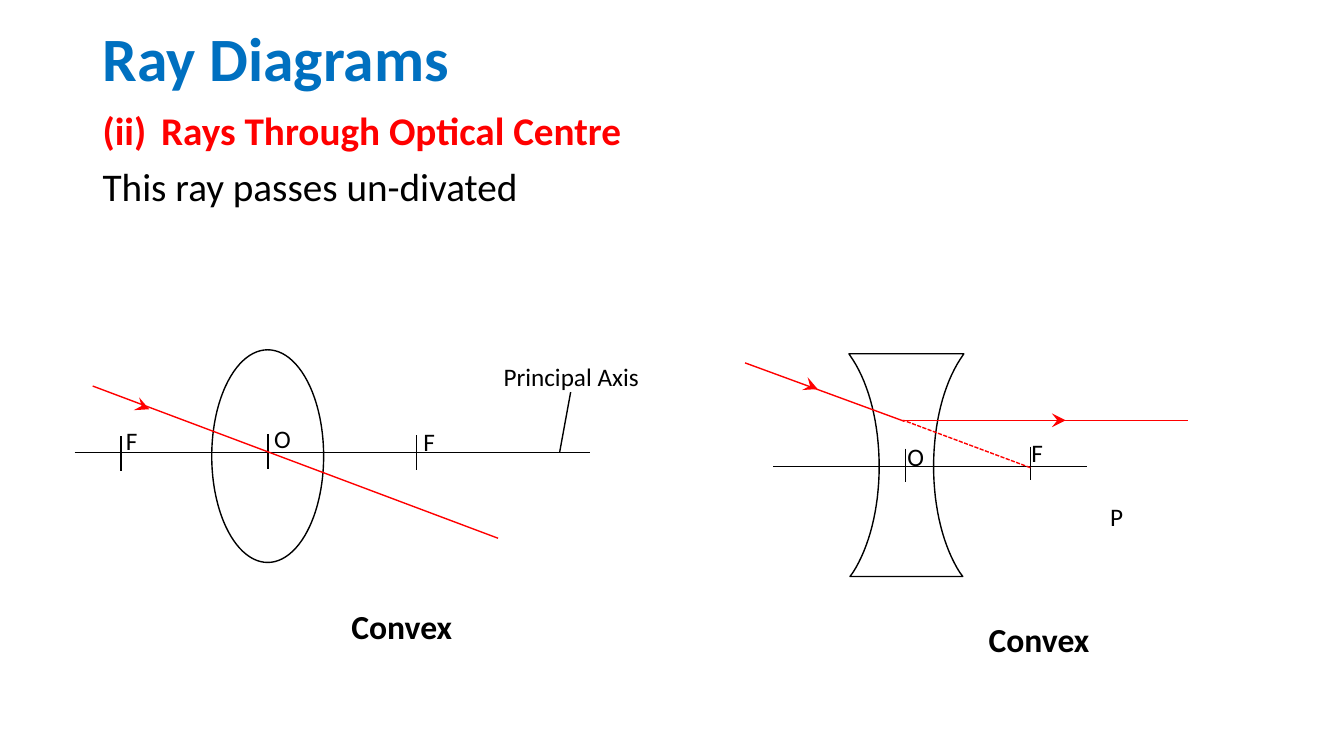
"""Build a slide of ray diagrams through the optical centre of two lenses."""
import pptx
import pptx.dml.color
import pptx.enum.dml
import pptx.enum.shapes
import pptx.enum.text
import pptx.oxml
import pptx.oxml.ns
import pptx.util
from pptx.util import Inches

HUES = {"title": "0070C0", "ray": "FF0000", "ink": "000000", "paper": "FFFFFF"}
ALIGN = pptx.enum.text.PP_ALIGN
ANCHOR = pptx.enum.text.MSO_ANCHOR
INSETS = ("margin_left", "margin_top", "margin_right", "margin_bottom")


def hue(name):
    """Return the named colour."""
    return pptx.dml.color.RGBColor.from_string(HUES[name])


def apply(item, values):
    """Set each attribute of an item from a dict."""
    for key, value in values.items():
        setattr(item, key, value)


def append(parent, tag, **attrs):
    """Add a drawing element to a parent and return it."""
    child = pptx.oxml.parse_xml(f"<a:{tag} {pptx.oxml.ns.nsdecls('a')}/>")
    for key, value in attrs.items():
        child.set(key, str(value))
    parent.append(child)
    return child


def write(para, text, size, color="ink", bold=False):
    """Add a run of text to a paragraph."""
    run = para.add_run()
    run.text = text
    apply(run.font, {"name": "Calibri", "size": pptx.util.Pt(size), "bold": bold})
    run.font.color.rgb = hue(color)


def frame(slide, box, **values):
    """Add a wrapped text box and return it."""
    shape = slide.shapes.add_textbox(*map(Inches, box))
    apply(shape.text_frame, {"word_wrap": True, **values})
    return shape


def label(slide, box, text, size=18, bold=False, align=ALIGN.LEFT, fill=None):
    """Add a label without insets."""
    shape = frame(slide, box, **dict.fromkeys(INSETS, 0))
    if fill:
        shape.fill.solid()
        shape.fill.fore_color.rgb = hue(fill)
    para = shape.text_frame.paragraphs[0]
    para.alignment = align
    write(para, text, size, bold=bold)


def line(slide, x1, y1, x2, y2, color="ink", width=1, dash=None, arrow=False):
    """Draw a straight line, with an arrowhead if asked."""
    kind = pptx.enum.shapes.MSO_CONNECTOR.STRAIGHT
    link = slide.shapes.add_connector(kind, *map(Inches, (x1, y1, x2, y2)))
    apply(link.line, {"width": pptx.util.Pt(width), "dash_style": dash})
    link.line.color.rgb = hue(color)
    if arrow:
        append(link.line._get_or_add_ln(), "tailEnd", type="stealth", w="lg", len="lg")
    append(link._element.spPr, "effectLst")


def outline(shape):
    """Give a lens a thin edge and no fill."""
    shape.shadow.inherit = False
    shape.fill.background()
    shape.line.color.rgb = hue("ink")
    shape.line.width = pptx.util.Pt(1)


def curve(a, b, c, d, steps=16):
    """Return points along a cubic curve."""
    spots = []
    for step in range(steps + 1):
        t = step / steps
        parts = ((1 - t) ** 3, 3 * t * (1 - t) ** 2, 3 * t * t * (1 - t), t ** 3)
        spots.append(tuple(sum(w * p[i] for w, p in zip(parts, (a, b, c, d)))
                           for i in (0, 1)))
    return spots


def hollow(slide, mid=8.99):
    """Draw the lens with two inward curves, mirrored about its middle."""
    side = [(0.57, 3.51)]
    side += curve((0.53, 3.57), (0.37, 3.82), (0.27, 4.2), (0.27, 4.63))
    side += curve((0.27, 4.63), (0.27, 5.05), (0.37, 5.43), (0.53, 5.68))[1:]
    side += [(0.56, 5.72)]
    spots = [(mid + x, y) for x, y in side] + [(mid - x, y) for x, y in side[::-1]]
    spots = [(Inches(x), Inches(y)) for x, y in spots]
    pen = slide.shapes.build_freeform(*spots[0])
    pen.add_line_segments(spots[1:], close=True)
    outline(pen.convert_to_shape())


def header(slide):
    """Write the title and the two lines below it."""
    title = frame(slide, (0.92, 0.16, 11.5, 0.9), vertical_anchor=ANCHOR.MIDDLE)
    para = title.text_frame.paragraphs[0]
    para.line_spacing = 0.9
    write(para, "Ray Diagrams", 44, "title", True)

    body = frame(slide, (0.92, 1.06, 11.5, 5.26)).text_frame
    first, second = body.paragraphs[0], body.add_paragraph()
    props = first._p.get_or_add_pPr()
    props.set("marL", str(Inches(0.58)))
    props.set("indent", str(-Inches(0.58)))
    append(props, "buNone")
    append(append(props, "tabLst"), "tab", pos=Inches(0.58), algn="l")
    first.line_spacing = 0.9
    apply(second, {"line_spacing": 0.9, "space_before": pptx.util.Pt(10)})
    write(first, "(ii)\tRays Through Optical Centre", 28, "ray", True)
    write(second, "This ray passes un-divated", 28)


def bulge(slide):
    """Draw the left diagram."""
    oval = pptx.enum.shapes.MSO_SHAPE.OVAL
    outline(slide.shapes.add_shape(oval, *map(Inches, (2.1, 3.47, 1.11, 2.11))))
    label(slide, (2.65, 6.01, 2.67, 0.4), "Convex", 24, True, ALIGN.CENTER, "paper")
    label(slide, (4.84, 3.58, 1.65, 0.3), "Principal Axis",
          align=ALIGN.CENTER, fill="paper")
    line(slide, 5.55, 4.49, 5.66, 3.89)
    line(slide, 0.74, 4.49, 5.85, 4.49)
    for x, y in ((1.2, 4.33), (2.66, 4.31), (4.13, 4.32)):
        line(slide, x, y, x, y + 0.34)
    for x, y, text in ((1.25, 4.22, "F"), (2.72, 4.2, "O"), (4.2, 4.23, "F")):
        label(slide, (x, y, 0.4, 0.3), text)
    line(slide, 0.92, 3.83, 4.94, 5.34, "ray")
    line(slide, 1.41, 4.03, 1.48, 4.06, "ray", 0.25, arrow=True)


def waist(slide):
    """Draw the right diagram."""
    dash = pptx.enum.dml.MSO_LINE.SQUARE_DOT
    line(slide, 7.67, 4.63, 10.78, 4.63)
    for x, y in ((8.98, 4.45), (10.22, 4.43)):
        line(slide, x, y, x, y + 0.33)
    for x, y, text in ((9, 4.38, "O"), (10.23, 4.34, "F"), (11.01, 4.97, "P")):
        label(slide, (x, y, 0.4, 0.3), text)
    label(slide, (8.97, 6.14, 2.67, 0.4), "Convex", 24, True, ALIGN.CENTER)
    hollow(slide)
    line(slide, 7.39, 3.6, 8.97, 4.18, "ray")
    line(slide, 8.98, 4.17, 11.78, 4.17, "ray")
    line(slide, 10.22, 4.64, 8.96, 4.17, "ray", dash=dash)
    line(slide, 8.04, 3.83, 8.11, 3.86, "ray", 0.25, arrow=True)
    line(slide, 10.43, 4.17, 10.57, 4.17, "ray", 0.25, arrow=True)


def main():
    """Build and save the slide."""
    deck = pptx.Presentation()
    apply(deck, {"slide_width": Inches(13.33), "slide_height": Inches(7.5)})
    slide = deck.slides.add_slide(deck.slide_layouts[6])
    header(slide)
    bulge(slide)
    waist(slide)
    deck.save("out.pptx")


if __name__ == "__main__":
    main()
